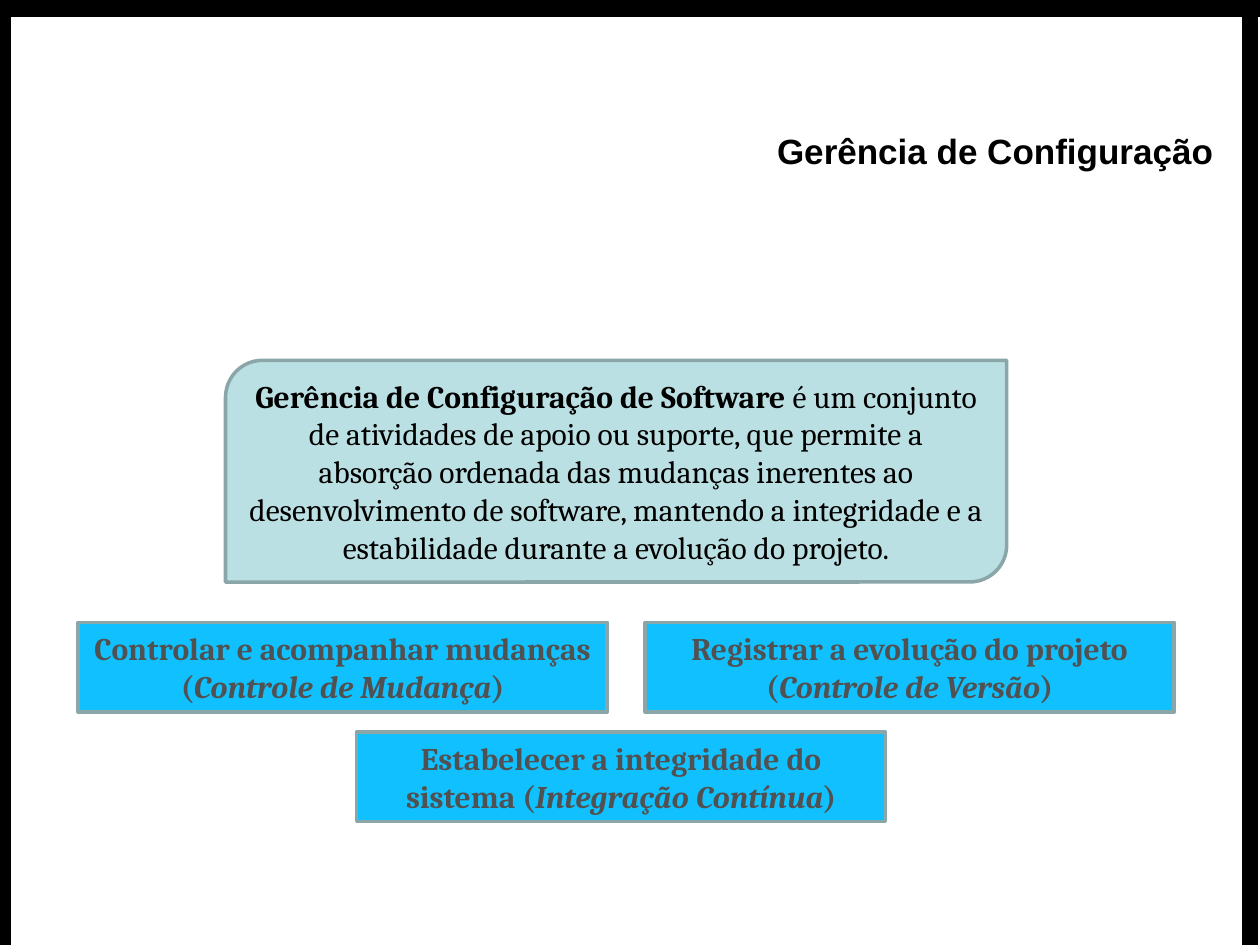
from pptx import Presentation
from pptx.dml.color import RGBColor
from pptx.enum import shapes, text
from pptx.util import Inches, Pt

BLACK = RGBColor(0x00, 0x00, 0x00)
WHITE = RGBColor(0xFF, 0xFF, 0xFF)
PALE_TEAL = RGBColor(0xBB, 0xE0, 0xE3)
TEAL_GRAY = RGBColor(0x8A, 0xA6, 0xA8)
SKY_BLUE = RGBColor(0x11, 0xC1, 0xFF)
DARK_GRAY = RGBColor(0x51, 0x51, 0x51)

FRAME_BARS = [(9.86, 0.06, 0.12, 7.5), (-0.04, 0, 0.12, 7.5), (0, 0, 10, 0.13)]
GOAL_SIZE = (4.2, 0.71)
GOALS = [
    (0.62, 4.94, "Controlar e acompanhar mudanças", "Controle de Mudança"),
    (5.12, 4.94, "Registrar a evolução do projeto", "Controle de Versão"),
    (2.83, 5.81, "Estabelecer a integridade do sistema", "Integração Contínua"),
]


def add_box(slide, kind, box, fill, line, line_width):
    """Add a filled, outlined preset shape without shadow."""
    shape = slide.shapes.add_shape(kind, *map(Inches, box))
    shape.shadow.inherit = False
    shape.fill.solid()
    shape.fill.fore_color.rgb = fill
    shape.line.color.rgb = line
    shape.line.width = Pt(line_width)
    return shape


def write_runs(shape, runs, font_name, size, color, alignment):
    """Write one paragraph from (text, bold, italic) runs."""
    shape.text_frame.word_wrap = True
    paragraph = shape.text_frame.paragraphs[0]
    paragraph.alignment = alignment
    paragraph.font.name = font_name
    paragraph.font.size = Pt(size)
    paragraph.font.color.rgb = color
    for words, bold, italic in runs:
        run = paragraph.add_run()
        run.text = words
        # Shape styles override paragraph defaults, so runs carry the font too.
        run.font.name = font_name
        run.font.size = Pt(size)
        run.font.color.rgb = color
        run.font.bold = bold
        run.font.italic = italic


def add_title(slide, words):
    """Add the right-aligned slide title."""
    title = slide.shapes.add_textbox(*map(Inches, (2.8, 0.98, 6.93, 0.44)))
    write_runs(title, [(words, True, False)], "Arial", 20, BLACK,
               text.PP_ALIGN.RIGHT)


def add_panel(slide, kind, box, fill, color, runs):
    """Add a bordered panel with centred text."""
    panel = add_box(slide, kind, box, fill, TEAL_GRAY, 2)
    panel.text_frame.vertical_anchor = text.MSO_ANCHOR.MIDDLE
    write_runs(panel, runs, "Cambria", 18, color, text.PP_ALIGN.CENTER)


def main():
    """Build and save the slide."""
    presentation = Presentation()
    presentation.slide_width = Inches(10)
    presentation.slide_height = Inches(7.5)
    slide = presentation.slides.add_slide(presentation.slide_layouts[6])
    slide.background.fill.solid()
    slide.background.fill.fore_color.rgb = WHITE

    for bar in FRAME_BARS:
        add_box(slide, shapes.MSO_SHAPE.RECTANGLE, bar, BLACK, BLACK, 0.75)
    add_title(slide, "Gerência de Configuração")

    definition = [
        ("Gerência de Configuração de Software", True, False),
        ("\u00a0é um conjunto de atividades de apoio ou suporte, que permite a "
         "absorção ordenada das mudanças inerentes ao desenvolvimento de "
         "software, mantendo a integridade e a estabilidade durante a "
         "evolução do projeto.", False, False),
    ]
    add_panel(slide, shapes.MSO_SHAPE.ROUND_2_DIAG_RECTANGLE,
              (1.79, 2.86, 6.2, 1.76), PALE_TEAL, BLACK, definition)

    for left, top, goal, practice in GOALS:
        runs = [(goal + " (", True, False), (practice, True, True),
                (")", True, False)]
        add_panel(slide, shapes.MSO_SHAPE.RECTANGLE, (left, top, *GOAL_SIZE),
                  SKY_BLUE, DARK_GRAY, runs)

    presentation.save("out.pptx")


main()
